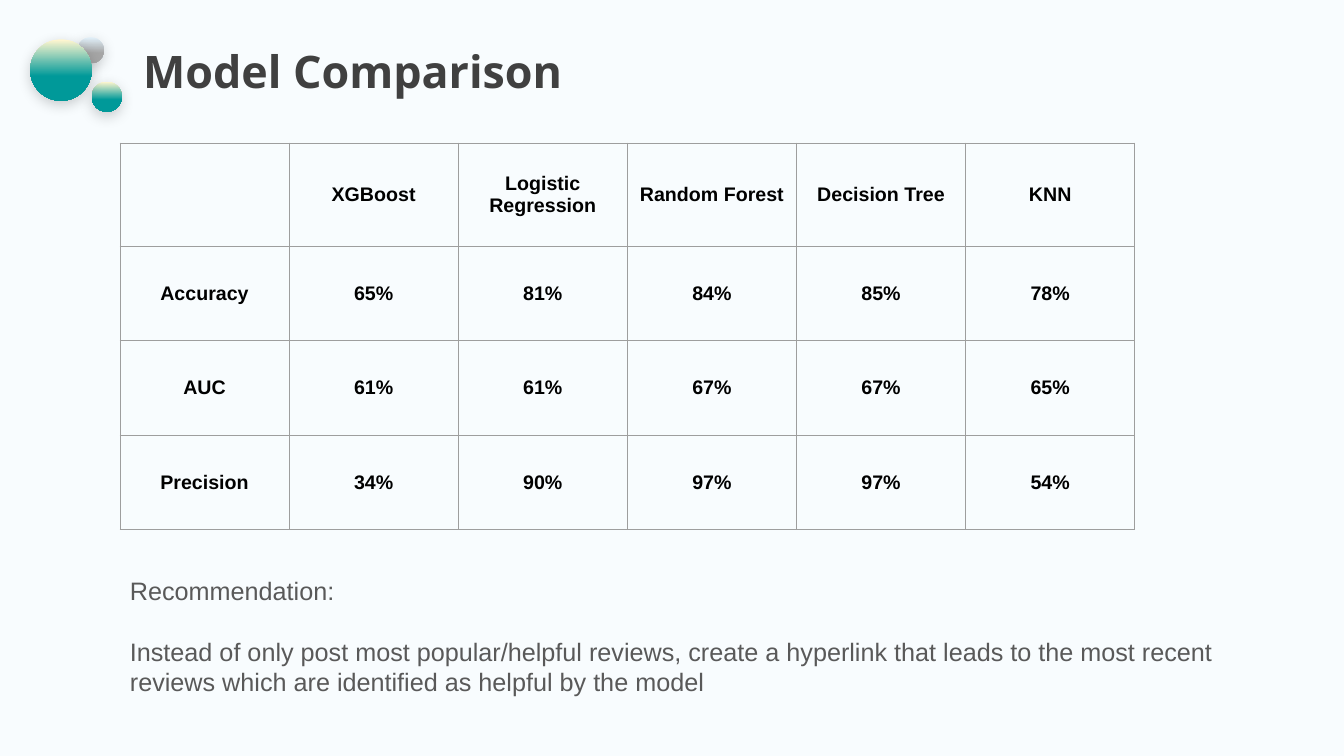
"""Build the model comparison slide."""
from lxml import etree
from pptx import Presentation
from pptx.dml.color import RGBColor
from pptx.enum.shapes import MSO_SHAPE
from pptx.enum.text import MSO_ANCHOR as ANCHOR, PP_ALIGN as ALIGN
from pptx.oxml import parse_xml
from pptx.oxml.ns import nsdecls, qn
from pptx.util import Pt

TITLE = "Model Comparison"
SCORES = [
    ["", "XGBoost", "Logistic Regression", "Random Forest", "Decision Tree", "KNN"],
    ["Accuracy", "65%", "81%", "84%", "85%", "78%"],
    ["AUC", "61%", "61%", "67%", "67%", "65%"],
    ["Precision", "34%", "90%", "97%", "97%", "54%"],
]
RECOMMENDATION = [
    "Recommendation:",
    "Instead of only post most popular/helpful reviews, create a hyperlink that leads "
    "to the most recent reviews which are identified as helpful by the model",
]

BACKGROUND = RGBColor(0xF8, 0xFC, 0xFE)
PALE_BLUE = RGBColor(0xE1, 0xF0, 0xF9)
GREY = RGBColor(0xA5, 0xA5, 0xA5)
CREAM = RGBColor(0xFF, 0xF6, 0xCF)
TEAL = RGBColor(0x00, 0x99, 0x99)
TITLE_GREY = RGBColor(0x40, 0x40, 0x40)
BODY_GREY = RGBColor(0x59, 0x59, 0x59)
BORDER_GREY = RGBColor(0x9E, 0x9E, 0x9E)
BLACK = RGBColor(0x00, 0x00, 0x00)

BUBBLES = [
    (55.4, 26.6, 18.8, PALE_BLUE, GREY),
    (65.5, 58.3, 21.6, CREAM, TEAL),
    (21.6, 28.1, 43.9, CREAM, TEAL),
]
CONTENT_LEFT = 85.7
TABLE_TOP, TABLE_WIDTH = 102.2, 725
HEADER_HEIGHT, ROW_HEIGHT = 73.6, 67.6
CELL_MARGIN = 7.2
BORDER_WIDTH = 0.75


def write(frame, text, size, color, font="Arial", bold=False, align=ALIGN.LEFT,
          anchor=ANCHOR.TOP, line_spacing=1.0, gap=0):
    """Write lines of text into a frame, with a gap between paragraphs."""
    frame.word_wrap = True
    frame.vertical_anchor = anchor
    frame.text = text
    for index, paragraph in enumerate(frame.paragraphs):
        paragraph.alignment = align
        paragraph.line_spacing = line_spacing
        paragraph.space_before = Pt(gap if index else 0)
        paragraph.font.size = Pt(size)
        for run in paragraph.runs:
            run.font.name = font
            run.font.size = Pt(size)
            run.font.bold = bold
            run.font.color.rgb = color


def add_bubble(slide, left, top, diameter, light, dark):
    """Add a shaded circle with a soft shadow."""
    bubble = slide.shapes.add_shape(
        MSO_SHAPE.OVAL, Pt(left), Pt(top), Pt(diameter), Pt(diameter))
    bubble.line.fill.background()
    bubble.fill.gradient()
    bubble.fill.gradient_angle = 270
    for stop, position, color in zip(bubble.fill.gradient_stops, (0.01, 0.6), (light, dark)):
        stop.position = position
        stop.color.rgb = color
    bubble.shadow.inherit = False
    effects = bubble.element.spPr.find(qn("a:effectLst"))
    effects.append(parse_xml(
        f'<a:outerShdw {nsdecls("a")} blurRad="{Pt(10)}" dist="{Pt(3)}" dir="5400000">'
        '<a:srgbClr val="000000"><a:alpha val="20000"/></a:srgbClr></a:outerShdw>'))


def add_borders(cell):
    """Draw a thin line on each side of a cell."""
    properties = cell._tc.get_or_add_tcPr()
    for side in ("lnL", "lnR", "lnT", "lnB"):
        line = etree.SubElement(properties, qn(f"a:{side}"), w=str(Pt(BORDER_WIDTH)))
        fill = etree.SubElement(line, qn("a:solidFill"))
        etree.SubElement(fill, qn("a:srgbClr"), val=str(BORDER_GREY))


def add_scores(slide):
    """Add the table of scores."""
    row_count, column_count = len(SCORES), len(SCORES[0])
    heights = [HEADER_HEIGHT] + [ROW_HEIGHT] * (row_count - 1)
    table = slide.shapes.add_table(
        row_count, column_count, Pt(CONTENT_LEFT), Pt(TABLE_TOP),
        Pt(TABLE_WIDTH), Pt(sum(heights))).table
    table.first_row = table.horz_banding = False
    for column in table.columns:
        column.width = Pt(TABLE_WIDTH / column_count)
    for row, height, values in zip(table.rows, heights, SCORES):
        row.height = Pt(height)
        for cell, value in zip(row.cells, values):
            cell.margin_left = cell.margin_right = Pt(CELL_MARGIN)
            cell.margin_top = cell.margin_bottom = Pt(CELL_MARGIN)
            add_borders(cell)
            cell.fill.background()
            write(cell.text_frame, value, 14, BLACK, bold=True, align=ALIGN.CENTER)
            cell.vertical_anchor = ANCHOR.MIDDLE


def main():
    """Assemble and save the slide."""
    presentation = Presentation()
    presentation.slide_width, presentation.slide_height = Pt(960), Pt(540)
    slide = presentation.slides.add_slide(presentation.slide_layouts[5])
    slide.background.fill.solid()
    slide.background.fill.fore_color.rgb = BACKGROUND

    for bubble in BUBBLES:
        add_bubble(slide, *bubble)

    title = slide.shapes.title
    title.left, title.top, title.width, title.height = Pt(95), Pt(31.7), Pt(828), Pt(42.5)
    write(title.text_frame, TITLE, 32, TITLE_GREY, font="Open Sans", bold=True,
          anchor=ANCHOR.MIDDLE, line_spacing=0.9)

    add_scores(slide)

    note = slide.shapes.add_textbox(Pt(CONTENT_LEFT), Pt(407.5), Pt(813), Pt(94.3))
    write(note.text_frame, "\n".join(RECOMMENDATION), 18, BODY_GREY, gap=21.6)

    presentation.save("out.pptx")


if __name__ == "__main__":
    main()
